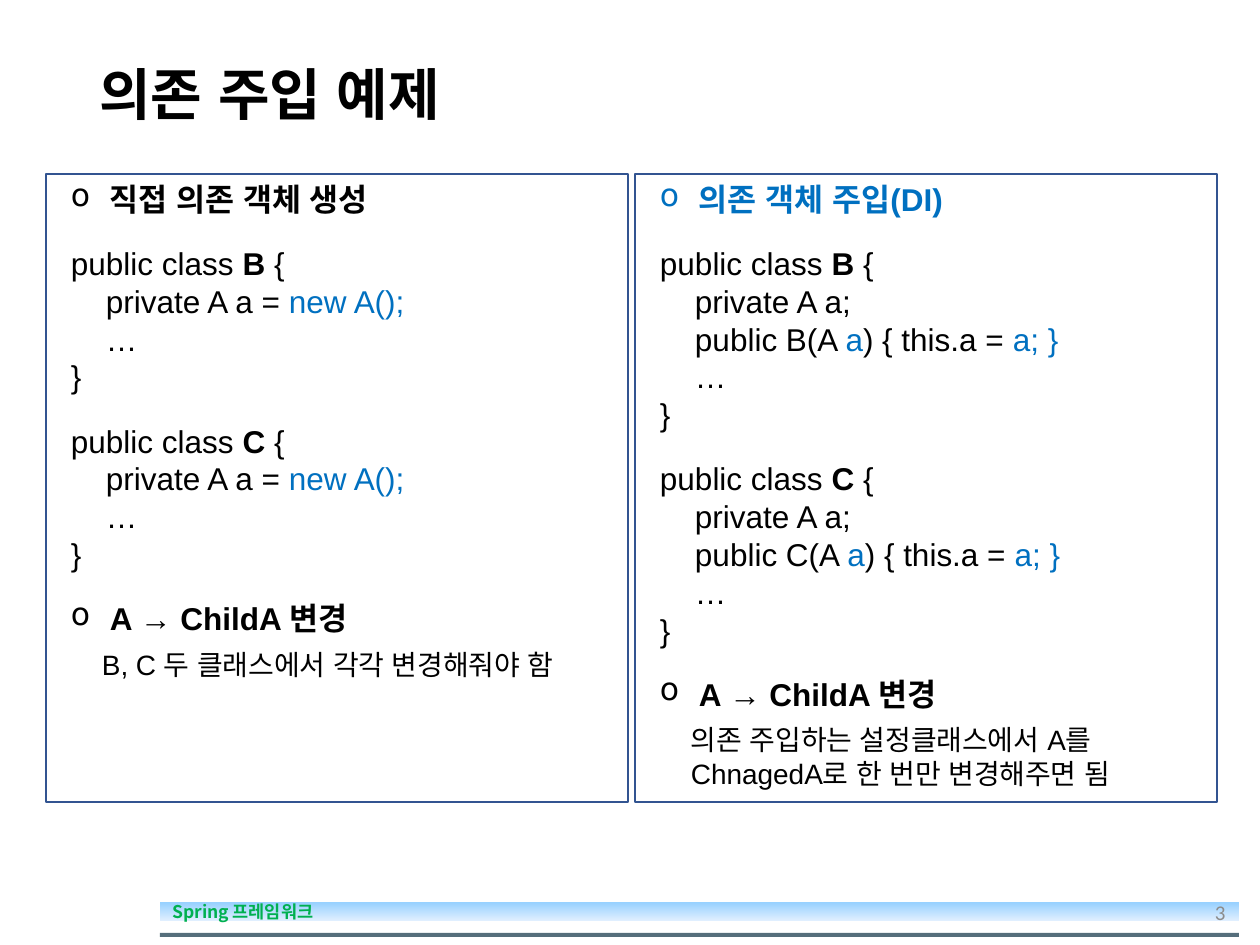
"""Build the slide comparing direct object creation with dependency injection."""
from lxml import etree
from pptx import Presentation
from pptx.dml.color import RGBColor
from pptx.enum.shapes import MSO_SHAPE
from pptx.enum.text import MSO_ANCHOR, PP_ALIGN
from pptx.oxml.ns import qn
from pptx.util import Pt

RECTANGLE = MSO_SHAPE.RECTANGLE
TOP, MIDDLE = MSO_ANCHOR.TOP, MSO_ANCHOR.MIDDLE
LEFT, RIGHT = PP_ALIGN.LEFT, PP_ALIGN.RIGHT
PIXEL = 914400 // 126

COLORS = {
    "black": "000000", "blue": "0070C0", "green": "00B050", "gray": "8C8C8C",
    "border": "325491", "rule": "0D3144", "bar_top": "96D0FF", "bar_bottom": "E0EFFF",
}
STYLES = {
    "heading": {"size": 18, "bold": True, "margin": 39, "bullet": "о", "after": 15},
    "change": {"size": 18, "bold": True, "margin": 39, "bullet": "о", "after": 6},
    "code": {"size": 18},
    "body": {"size": 18, "margin": 35},
    "end": {"size": 18, "after": 15},
    "note": {"size": 16, "margin": 31},
}
BLUE, BOLD = {"color": "blue"}, {"bold": True}


def class_lines(name, members):
    """Return the lines of one Java class."""
    return [
        ("code", ["public class ", (name + " ", BOLD), "{"]),
        *[("body", member) for member in members],
        ("body", ["…"]),
        ("end", ["}"]),
    ]


def direct_class(name):
    """Return a class that creates its own dependency."""
    return class_lines(name, [["private A a = ", ("new A();", BLUE)]])


def injected_class(name):
    """Return a class that receives its dependency."""
    constructor = [f"public {name}(A ", ("a", BLUE), ") { this.a = ", ("a; }", BLUE)]
    return class_lines(name, [["private A a;"], constructor])


CHANGE = ("change", ["A → ChildA 변경"])
PANELS = [
    (46, [
        ("heading", ["직접 의존 객체 생성"]),
        *direct_class("B"), *direct_class("C"), CHANGE,
        ("note", ["B, C 두 클래스에서 각각 변경해줘야 함"]),
    ]),
    (635, [
        ("heading", [("의존 객체 주입(DI)", BLUE)]),
        *injected_class("B"), *injected_class("C"), CHANGE,
        ("note", ["의존 주입하는 설정클래스에서 A를"]),
        ("note", ["ChnagedA로 한 번만 변경해주면 됨"]),
    ]),
]
TITLE = ("의존 주입 예제", (87, 50, 1086, 94),
         {"size": 32, "bold": True, "color": "black", "font": "Arial"}, LEFT, 0.9)
NUMBER = ("3", (1181, 885, 57, 54),
          {"size": 12, "color": "gray", "font": "Calibri"}, RIGHT, 1.0)
FOOTER = ("Spring 프레임워크",
          {"size": 10, "bold": True, "color": "green", "font": "Noto Sans CJK KR"})


def rgb(name):
    """Return a named colour."""
    return RGBColor.from_string(COLORS[name])


def box(values):
    """Turn pixels into EMU."""
    return [value * PIXEL for value in values]


def add_rectangle(slide, bounds):
    """Add a rectangle without shadow, fill or line."""
    shape = slide.shapes.add_shape(RECTANGLE, *box(bounds))
    shape.shadow.inherit = False
    shape.fill.background()
    shape.line.fill.background()
    return shape


def format_frame(frame, **values):
    """Set the attributes of a text frame."""
    for name, value in {"word_wrap": True, **values}.items():
        setattr(frame, name, value)


def add_run(paragraph, text, size, color="black", bold=False, font="Arial"):
    """Add a run with one font for Latin and Korean text."""
    run = paragraph.add_run()
    run.text = text
    for name, value in {"size": Pt(size), "bold": bold, "name": font}.items():
        setattr(run.font, name, value)
    run.font.color.rgb = rgb(color)
    etree.SubElement(run.font._element, qn("a:ea"), typeface=font)


def add_line(paragraph, style, runs):
    """Fill one paragraph of a panel."""
    size, margin = style["size"], style.get("margin", 0) * PIXEL
    bullet = style.get("bullet")
    paragraph.alignment = LEFT
    paragraph.line_spacing = Pt(size * 1.2)
    paragraph.space_after = Pt(style.get("after", 0))
    properties = paragraph._p.get_or_add_pPr()
    properties.set("marL", str(margin))
    properties.set("indent", str(-margin if bullet else 0))
    if bullet:
        etree.SubElement(properties, qn("a:buChar"), char=bullet)
    for run in runs:
        text, changes = (run, {}) if isinstance(run, str) else run
        add_run(paragraph, text, **{"size": size, "bold": style.get("bold", False), **changes})


def add_panel(slide, left, lines):
    """Add one framed column of text."""
    panel = add_rectangle(slide, (left, 174, 582, 628))
    panel.line.color.rgb = rgb("border")
    panel.line.width = Pt(1)
    format_frame(panel.text_frame, vertical_anchor=TOP, margin_left=25 * PIXEL,
                 margin_right=13 * PIXEL, margin_top=6 * PIXEL, margin_bottom=6 * PIXEL)
    for index, (style, runs) in enumerate(lines):
        frame = panel.text_frame
        paragraph = frame.add_paragraph() if index else frame.paragraphs[0]
        add_line(paragraph, STYLES[style], runs)


def add_label(slide, text, bounds, font, alignment, spacing):
    """Add a text box of one line."""
    frame = slide.shapes.add_textbox(*box(bounds)).text_frame
    format_frame(frame, vertical_anchor=MIDDLE)
    paragraph = frame.paragraphs[0]
    paragraph.alignment = alignment
    paragraph.line_spacing = spacing
    add_run(paragraph, text, **font)


def add_footer(slide):
    """Add the rule and the shaded bar."""
    rule = add_rectangle(slide, (160, 933, 1079, 4))
    rule.fill.solid()
    rule.fill.fore_color.rgb = rgb("rule")
    color = rule.fill._xPr.find(qn("a:solidFill"))[0]
    etree.SubElement(color, qn("a:alpha"), val="70000")

    bar = add_rectangle(slide, (160, 902, 1079, 19))
    bar.fill.gradient()
    bar.fill.gradient_angle = 270
    for stop, name, position in zip(bar.fill.gradient_stops, ("bar_top", "bar_bottom"), (0, 1)):
        stop.color.rgb = rgb(name)
        stop.position = position
    format_frame(bar.text_frame, vertical_anchor=MIDDLE)
    paragraph = bar.text_frame.paragraphs[0]
    paragraph.alignment = LEFT
    text, font = FOOTER
    add_run(paragraph, text, **font)


presentation = Presentation()
presentation.slide_width, presentation.slide_height = box((1260, 945))
slide = presentation.slides.add_slide(presentation.slide_layouts[6])
add_footer(slide)
for label in (TITLE, NUMBER):
    add_label(slide, *label)
for left, lines in PANELS:
    add_panel(slide, left, lines)
presentation.save("out.pptx")
